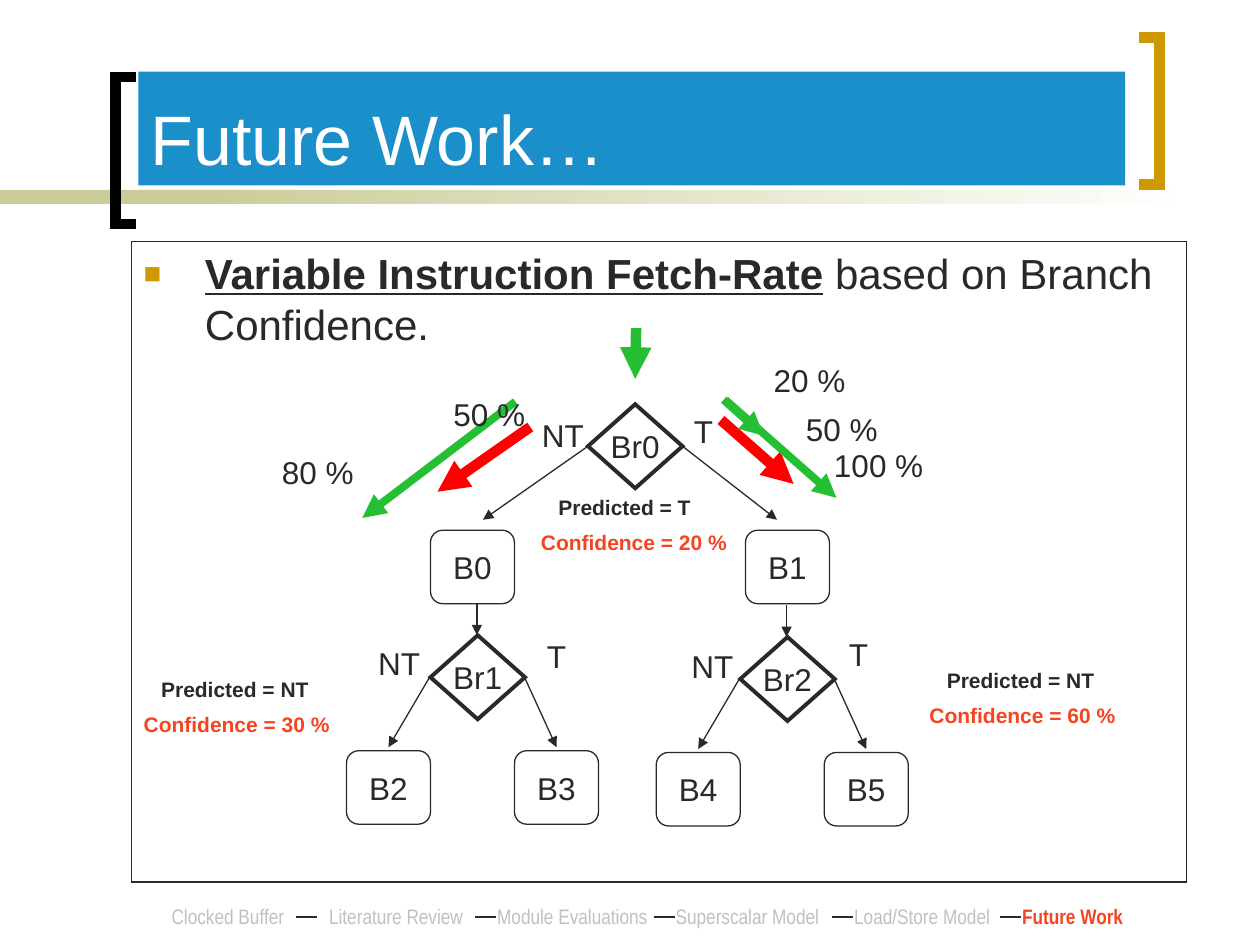
from itertools import pairwise

from lxml.etree import SubElement
from pptx import Presentation
from pptx.dml.color import RGBColor
from pptx.enum.shapes import MSO_CONNECTOR as Connector, MSO_SHAPE as Shape
from pptx.enum.text import MSO_ANCHOR as Anchor, MSO_AUTO_SIZE as AutoSize, PP_ALIGN as Align
from pptx.oxml.ns import qn
from pptx.util import Pt

COLOURS = {
    "ink": "292929", "white": "FFFFFF", "black": "000000", "gold": "CC9900",
    "khaki": "CCCC99", "blue": "1A8FCA", "orange": "F64420", "red": "FF0000",
    "green": "25BF34", "grey": "C0C0C0",
}
FORMATS = {
    "title": {"size": Pt(40)},
    "body": {"size": Pt(24)},
    "strong": {"size": Pt(24), "bold": True, "underline": True},
    "node": {"size": Pt(18)},
    "note": {"size": Pt(12), "bold": True},
    "step": {"size": Pt(12), "name": "Arial Narrow"},
    "current step": {"size": Pt(12), "name": "Arial Narrow", "bold": True},
}
BLOCK_SIZE = (48, 42)
BRANCH_SIZE = (54, 48)


def colour(name):
    return RGBColor.from_string(COLOURS[name])


class SlideBuilder:
    """Holds the text style and the slide that receives each element."""

    def __init__(self, slide, font_name="Arial"):
        self.slide = slide
        self.font_name = font_name

    def run(self, paragraph, text, style, ink="ink"):
        run = paragraph.add_run()
        run.text = text
        for name, value in ({"name": self.font_name} | FORMATS[style]).items():
            setattr(run.font, name, value)
        run.font.color.rgb = colour(ink)

    def outline(self, shape, ink, width):
        shape.line.color.rgb = colour(ink)
        shape.line.width = Pt(width)
        join = SubElement(shape.line._get_or_add_ln(), qn("a:miter"))
        join.set("lim", "800000")

    def box(self, kind, place, fill=None, line=None, width=0.75):
        shape = self.slide.shapes.add_shape(kind, *map(Pt, place))
        shape.shadow.inherit = False
        if fill:
            shape.fill.solid()
            shape.fill.fore_color.rgb = colour(fill)
        else:
            shape.fill.background()
        if line:
            self.outline(shape, line, width)
        else:
            shape.line.fill.background()
        return shape

    def node(self, kind, left, top, text):
        size, width = (BRANCH_SIZE, 2.25) if kind == Shape.DIAMOND else (BLOCK_SIZE, 0.75)
        shape = self.box(kind, (left, top, *size), line="ink", width=width)
        frame = shape.text_frame
        frame.word_wrap = False
        frame.vertical_anchor = Anchor.MIDDLE
        frame.paragraphs[0].alignment = Align.CENTER
        self.run(frame.paragraphs[0], text, "node")

    def label(self, left, top, width, text, style="node", ink="ink"):
        height = 28.8 if style == "node" else 21.6
        shape = self.slide.shapes.add_textbox(*map(Pt, (left, top, width, height)))
        frame = shape.text_frame
        frame.word_wrap = True
        frame.auto_size = AutoSize.SHAPE_TO_FIT_TEXT
        self.run(frame.paragraphs[0], text, style, ink)

    def line(self, start, end, ink="ink", width=0.75, arrow=True):
        connector = self.slide.shapes.add_connector(
            Connector.STRAIGHT, *map(Pt, (*start, *end)))
        connector.line.color.rgb = colour(ink)
        connector.line.width = Pt(width)
        if arrow:
            SubElement(connector.line._get_or_add_ln(), qn("a:tailEnd")).set("type", "triangle")
        SubElement(connector._element.spPr, qn("a:effectLst"))

    def bracket(self, tip, spine, top, bottom, ink):
        points = [(Pt(x), Pt(y)) for x, y in
                  ((tip, top), (spine, top), (spine, bottom), (tip, bottom))]
        builder = self.slide.shapes.build_freeform(*points[0])
        builder.add_line_segments(points[1:], close=False)
        shape = builder.convert_to_shape()
        shape.shadow.inherit = False
        shape.fill.background()
        self.outline(shape, ink, 6)

    def fading_bar(self, place, *inks):
        shape = self.box(Shape.RECTANGLE, place)
        shape.fill.gradient()
        shape.fill.gradient_angle = 0
        for stop, ink in zip(shape.fill.gradient_stops, inks):
            stop.color.rgb = colour(ink)

    def title(self, place, text):
        frame = self.box(Shape.RECTANGLE, place, fill="blue").text_frame
        frame.vertical_anchor = Anchor.BOTTOM
        frame.paragraphs[0].alignment = Align.LEFT
        self.run(frame.paragraphs[0], text, "title", "white")

    def body(self, place, *parts):
        frame = self.box(Shape.RECTANGLE, place, line="ink").text_frame
        frame.word_wrap = True
        frame.vertical_anchor = Anchor.TOP
        paragraph = frame.paragraphs[0]
        paragraph.alignment = Align.LEFT
        properties = paragraph._p.get_or_add_pPr()
        properties.set("marL", str(Pt(35)))
        properties.set("indent", str(-Pt(35)))
        bullet_colour = SubElement(properties, qn("a:buClr"))
        SubElement(bullet_colour, qn("a:srgbClr")).set("val", COLOURS["gold"])
        for tag, key, value in (("a:buSzPct", "val", "70000"),
                                ("a:buFont", "typeface", self.font_name),
                                ("a:buChar", "char", "■")):
            SubElement(properties, qn(tag)).set(key, value)
        for text, style in parts:
            self.run(paragraph, text, style)

    def prediction(self, left, top, guess, confidence):
        self.label(left + 10, top, 108, f"Predicted = {guess}", "note")
        self.label(left, top + 20, 135, f"Confidence = {confidence} %", "note", "orange")

    def subtree(self, left, top, branch, blocks):
        """Draw a branch, the arrow into it and the two blocks below it."""
        self.node(Shape.DIAMOND, left, top, branch)
        for offset, block in zip((-48, 48), blocks):
            self.node(Shape.ROUNDED_RECTANGLE, left + offset, top + 66, block)
        for start, end in (((26.5, -18), (26.5, 0)),
                           ((-0.5, 24), (-24, 64)),
                           ((53.5, 23.5), (72, 64))):
            self.line((left + start[0], top + start[1]), (left + end[0], top + end[1]))

    def progress(self, steps, top):
        """Draw the footer steps, the last one current, with dashes between."""
        for left, text in steps[:-1]:
            self.label(left, top, 108, text, "step", "grey")
        left, text = steps[-1]
        self.label(left, top, 126, text, "current step", "orange")
        for (_, _), (following, _) in pairwise(steps):
            end = max(following + 6.5, 181) if following > 200 else following
            self.line((end - 12, top + 11.5), (end, top + 11.5), arrow=False)


def main():
    presentation = Presentation()
    presentation.slide_width, presentation.slide_height = Pt(720), Pt(540)
    builder = SlideBuilder(presentation.slides.add_slide(presentation.slide_layouts[6]))

    builder.box(Shape.RECTANGLE, (0, 108.5, 168, 8), fill="khaki")
    builder.fading_bar((114, 108.5, 570, 8), "khaki", "white")
    builder.bracket(78, 66, 44, 128, "black")
    builder.bracket(651, 662.5, 21.5, 105.5, "gold")
    builder.body((75, 138, 603, 366), ("Variable Instruction Fetch-Rate", "strong"),
                 (" based on Branch Confidence.", "body"))

    builder.node(Shape.DIAMOND, 336, 231, "Br0")
    for left, block in ((246, "B0"), (426, "B1")):
        builder.node(Shape.ROUNDED_RECTANGLE, left, 303, block)
    builder.line((336, 255), (276, 297))
    builder.line((390, 255), (444, 297))
    builder.subtree(246, 363, "Br1", ("B2", "B3"))
    builder.subtree(423, 364, "Br2", ("B4", "B5"))

    for place in ((302, 279, "T", 20), (75, 383, "NT", 30), (524, 378, "NT", 60)):
        builder.prediction(*place)
    for left, top in ((302.5, 234), (209, 364.5), (388, 366)):
        builder.label(left, top, 48, "NT")
    for left, top in ((389.5, 232), (305.5, 360.5), (478, 359.5)):
        builder.label(left, top, 28, "T")

    for start, end, ink, width in (
            ((303, 244), (250, 281), "red", 6),
            ((412, 240), (453.5, 276.5), "red", 6),
            ((363.5, 187.5), (363, 216.5), "green", 6),
            ((294.5, 229.5), (207, 296), "green", 4.5),
            ((413.5, 228.5), (436.5, 249), "green", 4.5),
            ((414.5, 228.5), (478, 284.5), "green", 4.5)):
        builder.line(start, end, ink, width)
    for left, top, rate in ((154, 255.5, 80), (453.5, 231, 50), (252, 222, 50),
                            (435, 203, 20), (469.5, 251.5, 100)):
        builder.label(left, top, 72, f"{rate} %")

    builder.title((79, 41, 564, 65), "Future Work…")
    builder.progress(((91, "Clocked Buffer"), (181, "Literature Review"),
                      (277, "Module Evaluations"), (379, "Superscalar Model"),
                      (481, "Load/Store Model"), (577, "Future Work")), 512.5)
    presentation.save("out.pptx")


if __name__ == "__main__":
    main()
